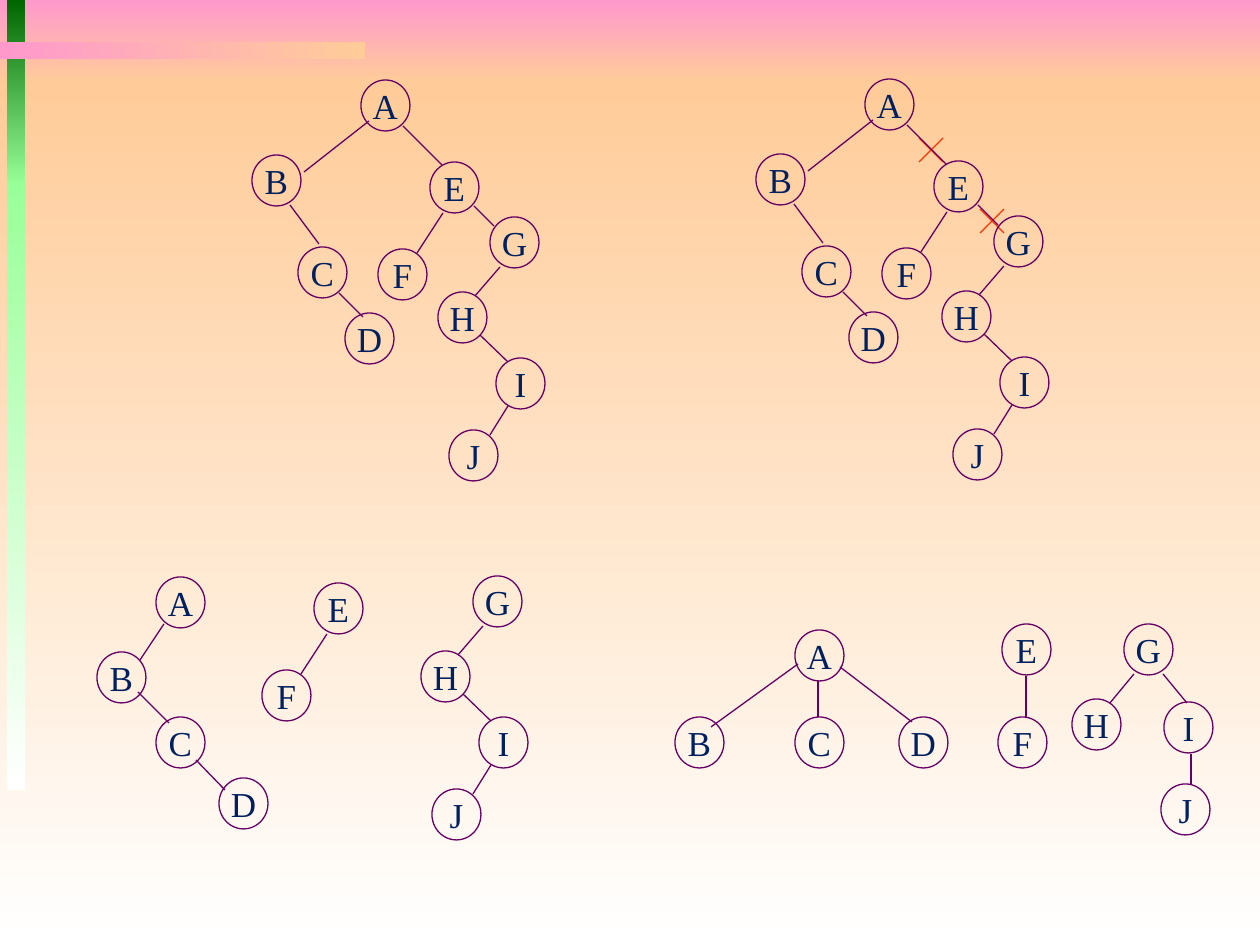
from dataclasses import dataclass

from lxml import etree
from pptx import Presentation
from pptx import util as u
from pptx.dml.color import RGBColor
from pptx.enum import shapes, text
from pptx.oxml.ns import qn

PX = 914400 // 126  # EMU per px
WIDTH, HEIGHT = 1260, 945
NODE_W, NODE_H = 49, 51


@dataclass(frozen=True)
class Theme:
    pink: str = "FF99CC"
    peach: str = "FFCC99"
    white: str = "FFFFFF"
    dark_green: str = "006600"
    light_green: str = "99FF99"
    outline: str = "660066"
    letter: str = "002060"
    cut: str = "FF3300"
    font: str = "Times New Roman"
    letter_size: int = 20
    line_width: float = 0.75


class Deck:
    def __init__(self, theme):
        self.theme = theme
        self.prs = Presentation()
        self.prs.slide_width, self.prs.slide_height = WIDTH * PX, HEIGHT * PX
        self.s = self.prs.slides.add_slide(self.prs.slide_layouts[6])

    def group(self):
        return self.s.shapes.add_group_shape().shapes

    def band(self, x, y, w, h, start, end, vertical=True):
        sp = self.s.shapes.add_shape(
            shapes.MSO_SHAPE.RECTANGLE, x * PX, y * PX, w * PX, h * PX)
        sp.shadow.inherit = False
        sp.line.fill.background()
        sp.fill.gradient()
        sp.fill.gradient_angle = 270 if vertical else 0
        for stop, color in zip(sp.fill.gradient_stops, (start, end)):
            stop.color.rgb = RGBColor.from_string(color)

    def node(self, parent, letter, x, y):
        sp = parent.add_shape(
            shapes.MSO_SHAPE.OVAL, x * PX, y * PX, NODE_W * PX, NODE_H * PX)
        sp.shadow.inherit = False
        sp.fill.background()
        sp.line.color.rgb = RGBColor.from_string(self.theme.outline)
        sp.line.width = u.Pt(self.theme.line_width)
        tf = sp.text_frame
        tf.text = letter
        tf.word_wrap = False
        tf.vertical_anchor = text.MSO_ANCHOR.MIDDLE
        p = tf.paragraphs[0]
        p.alignment = text.PP_ALIGN.CENTER
        font = p.runs[0].font
        font.name, font.size = self.theme.font, u.Pt(self.theme.letter_size)
        font.color.rgb = RGBColor.from_string(self.theme.letter)

    def line(self, parent, x1, y1, x2, y2, color):
        c = parent.add_connector(shapes.MSO_CONNECTOR.STRAIGHT,
                                 x1 * PX, y1 * PX, x2 * PX, y2 * PX)
        c.line.color.rgb = RGBColor.from_string(color)
        c.line.width = u.Pt(self.theme.line_width)
        etree.SubElement(c._element.spPr, qn("a:effectLst"))

    def cross(self, parent, x, y, size=24):
        self.line(parent, x, y, x + size, y + size, self.theme.cut)
        self.line(parent, x + size, y, x, y + size, self.theme.cut)

    def tree(self, parent, nodes, edges, dx=0, dy=0):
        """Draw the nodes, and the edges whose two ends are among them."""
        for letter, (x, y) in nodes.items():
            self.node(parent, letter, x + dx, y + dy)
        for (a, b), (x1, y1, x2, y2) in edges.items():
            if a in nodes and b in nodes:
                self.line(parent, x1 + dx, y1 + dy, x2 + dx, y2 + dy,
                          self.theme.outline)


# Binary tree: top left of each node, and ends of each edge
BINARY_NODES = {
    "A": (361, 80), "B": (252, 155), "C": (298, 247), "D": (345, 313),
    "E": (430, 162), "F": (378, 249), "G": (490, 217), "H": (438, 292),
    "I": (496, 358), "J": (449, 430),
}
BINARY_EDGES = {
    "AB": (369, 121, 304, 172), "BC": (290, 205, 319, 244),
    "CD": (339, 293, 363, 317), "AE": (403, 126, 442, 165),
    "EF": (443, 213, 417, 253), "EG": (474, 206, 494, 226),
    "GH": (500, 267, 475, 296), "HI": (480, 335, 508, 362),
    "IJ": (508, 406, 490, 435),
}

# First part after the cuts, spread wider than in the binary tree
CHAIN_NODES = {"A": (156, 577), "B": (97, 652), "C": (156, 717), "D": (219, 778)}
CHAIN_EDGES = {"AB": (164, 624, 140, 660), "BC": (138, 692, 169, 723),
               "CD": (196, 760, 225, 790)}

# Forest
FOREST_NODES = {
    "A": (795, 630), "B": (675, 717), "C": (795, 717), "D": (899, 717),
    "E": (1002, 624), "F": (998, 717), "G": (1124, 624), "H": (1072, 699),
    "I": (1164, 702), "J": (1161, 784),
}
FOREST_EDGES = {
    "AB": (798, 664, 711, 727), "AC": (818, 681, 818, 717),
    "AD": (840, 667, 912, 722), "EF": (1026, 676, 1026, 717),
    "GH": (1134, 674, 1110, 703), "GI": (1163, 674, 1187, 703),
    "IJ": (1191, 754, 1191, 785),
}


def main():
    theme = Theme()
    deck = Deck(theme)

    # Background and side bars
    deck.band(0, 0, WIDTH, 84, theme.pink, theme.peach)
    deck.band(0, 84, WIDTH, HEIGHT - 84, theme.peach, theme.white)
    deck.band(7, 0, 18, 186, theme.dark_green, theme.light_green)
    deck.band(7, 184, 18, 606, theme.light_green, theme.white)
    deck.band(0, 42, 365, 17, theme.pink, theme.peach, vertical=False)

    # Binary tree
    deck.tree(deck.group(), BINARY_NODES, BINARY_EDGES)

    # Same tree with two edges cut
    cut_tree = deck.group()
    deck.cross(cut_tree, 919, 138)
    deck.cross(cut_tree, 980, 209)
    deck.tree(cut_tree, BINARY_NODES, BINARY_EDGES, dx=504, dy=-1)

    # Three separate binary trees
    parts = deck.group()
    deck.tree(parts, CHAIN_NODES, CHAIN_EDGES)
    for letters, dx, dy in (("EF", -116, 421), ("GHIJ", -17, 359)):
        subtree = {letter: BINARY_NODES[letter] for letter in letters}
        deck.tree(parts, subtree, BINARY_EDGES, dx, dy)

    # Resulting forest
    deck.tree(deck.group(), FOREST_NODES, FOREST_EDGES)

    deck.prs.save("out.pptx")


if __name__ == "__main__":
    main()
